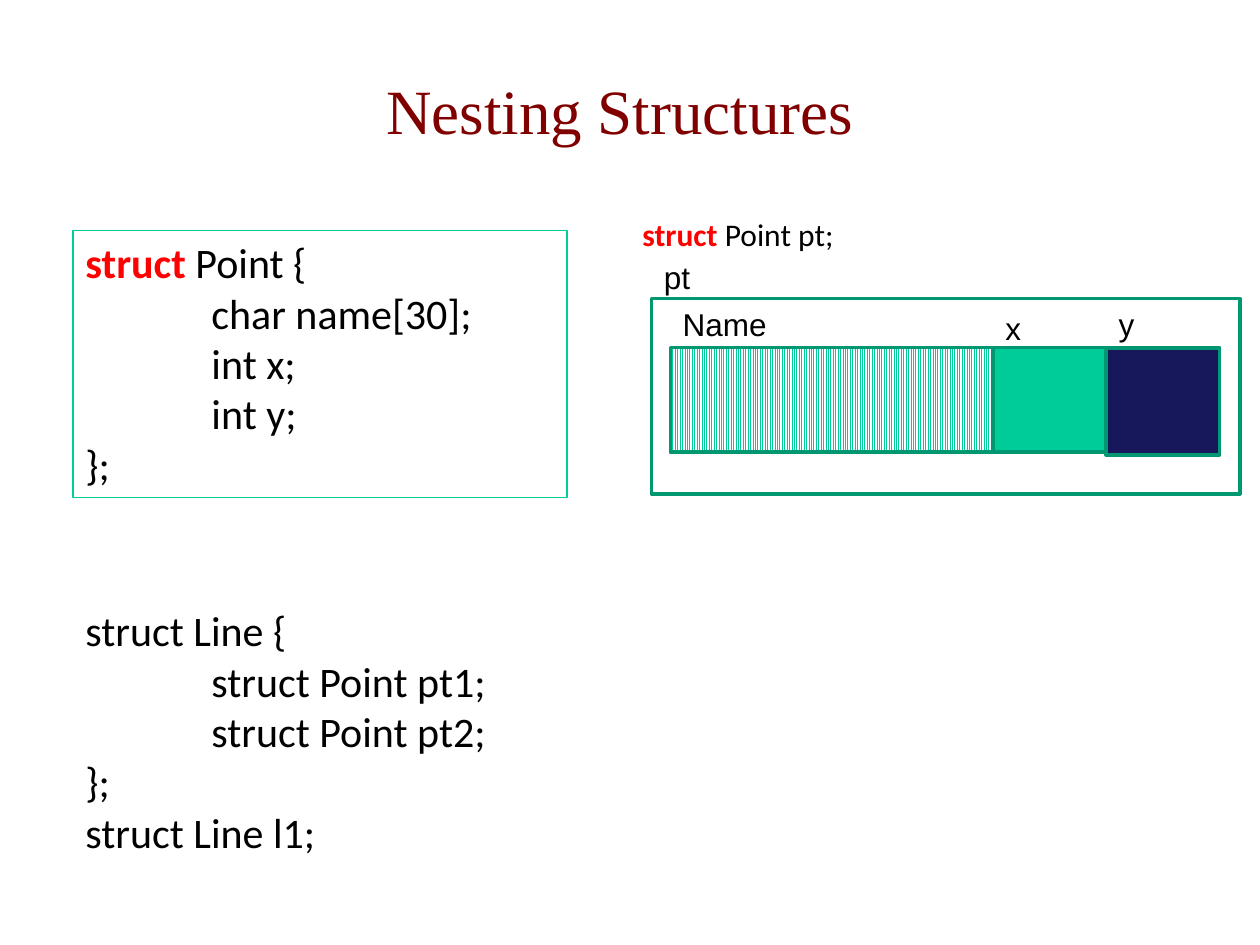
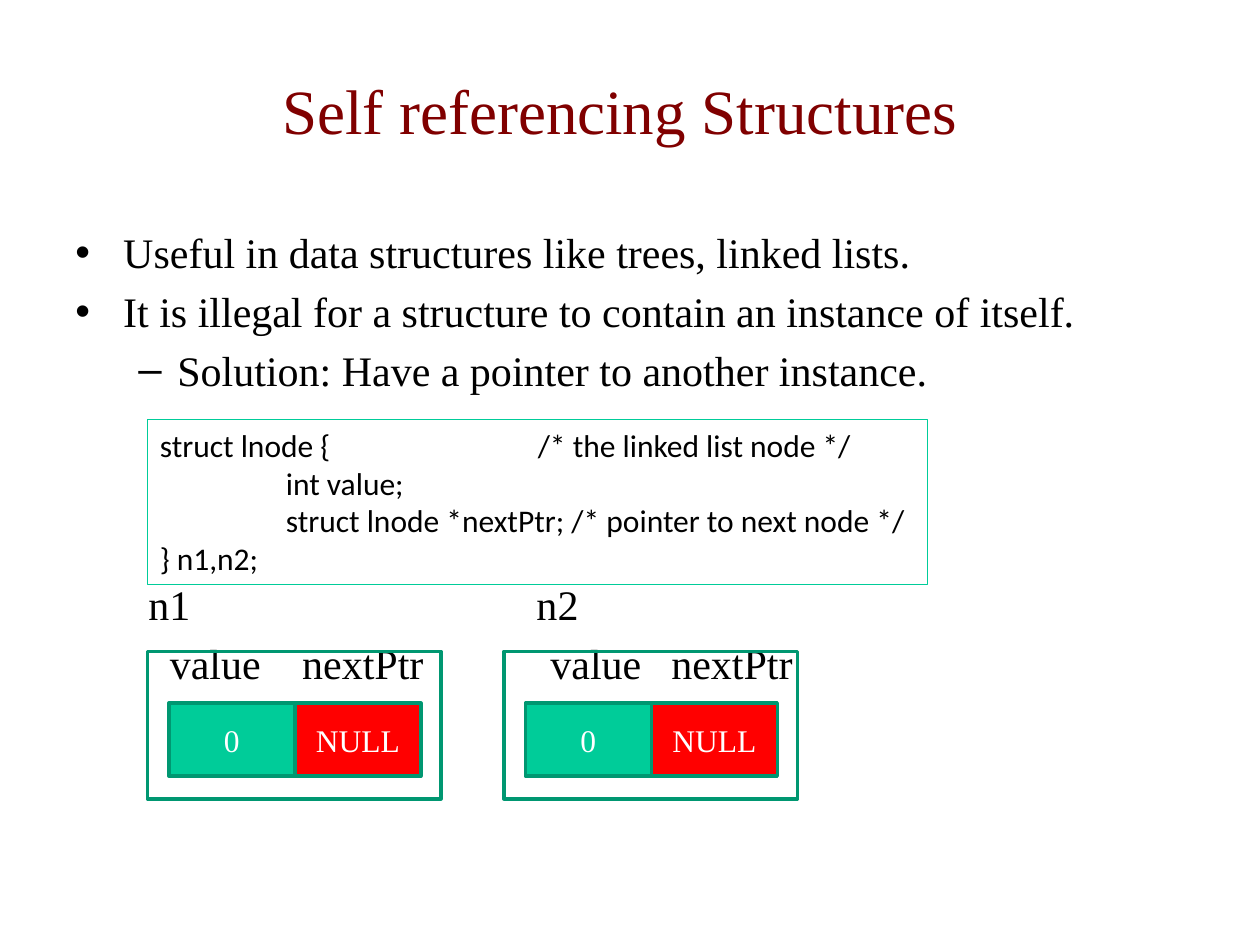
from lxml import etree
from pptx import Presentation
from pptx.dml import color
from pptx.enum import dml, shapes, text
from pptx.oxml import ns
from pptx.util import Inches, Pt

GREEN, DARK_GREEN, NAVY = "00CC99", "009771", "17175C"
RED, MAROON, BLACK, WHITE = "FF0000", "800000", "000000", "FFFFFF"
SERIF, SANS, CODE = "Times New Roman", "Arial", "Calibri"
CELL_TOP = 5.58
FIELD_TOP, FIELD_HEIGHT = 2.76, 0.83
LINE_GAP = 4.8
CODE_STOPS = (1, 2, 3)


def rgb(value):
    return color.RGBColor.from_string(value)


def apply(target, values):
    for name, value in values.items():
        setattr(target, name, value)


def add_run(paragraph, words, font, size, ink=BLACK, bold=False):
    run = paragraph.add_run()
    run.text = words
    apply(run.font, {"name": font, "size": Pt(size), "bold": bold})
    run.font.color.rgb = rgb(ink)


def add_tab_stops(paragraph, stops):
    tabs = etree.SubElement(paragraph._p.get_or_add_pPr(), ns.qn("a:tabLst"))
    for stop in stops:
        etree.SubElement(tabs, ns.qn("a:tab"), pos=str(Inches(stop)), algn="l")


def box(at):
    return [Inches(length) for length in at]


def add_titled_slide(deck, words):
    slide = deck.slides.add_slide(deck.slide_layouts[5])
    title = slide.shapes.title
    apply(title, dict(zip(("left", "top", "width", "height"),
                          box((0.67, 0.33, 8.5, 1.08)))))
    title.text_frame.vertical_anchor = text.MSO_ANCHOR.MIDDLE
    heading = title.text_frame.paragraphs[0]
    heading.alignment = text.PP_ALIGN.CENTER
    add_run(heading, words, SERIF, 36, MAROON)
    return slide


def add_text(slide, at, lines, font, size, wrap=True, keyword=None, border=None):
    holder = slide.shapes.add_textbox(*box(at))
    frame = holder.text_frame
    apply(frame, {"word_wrap": wrap,
                  "auto_size": text.MSO_AUTO_SIZE.SHAPE_TO_FIT_TEXT})
    if border:
        holder.line.color.rgb = rgb(border)
        holder.line.width = Pt(0.75)
    for index, line in enumerate(lines):
        paragraph = frame.add_paragraph() if index else frame.paragraphs[0]
        if "\t" in line:
            add_tab_stops(paragraph, CODE_STOPS)
        if keyword and line.startswith(keyword):
            add_run(paragraph, keyword, font, size, RED, True)
            line = line[len(keyword):]
        add_run(paragraph, line, font, size)


def add_block(parent, at, fill=None, words=None):
    block = parent.shapes.add_shape(shapes.MSO_SHAPE.RECTANGLE, *box(at))
    block.shadow.inherit = False
    block.line.color.rgb = rgb(DARK_GREEN)
    block.line.width = Pt(2)
    if fill:
        block.fill.solid()
        block.fill.fore_color.rgb = rgb(fill)
    else:
        block.fill.background()
    if words:
        block.text_frame.vertical_anchor = text.MSO_ANCHOR.MIDDLE
        value = block.text_frame.paragraphs[0]
        value.alignment = text.PP_ALIGN.CENTER
        add_run(value, words, SERIF, 18, WHITE)
    return block


def add_bullet(paragraph, words, mark, left, hanging):
    add_run(paragraph, words, SERIF, 24)
    paragraph.space_before = Pt(LINE_GAP)
    properties = paragraph._p.get_or_add_pPr()
    properties.set("marL", str(Inches(left)))
    properties.set("indent", str(-Inches(hanging)))
    etree.SubElement(properties, ns.qn("a:buFont"), typeface=SANS)
    etree.SubElement(properties, ns.qn("a:buChar"), char=mark)


def add_label_row(paragraph, labels, stops, gap):
    add_run(paragraph, "".join("\t" + label for label in labels), SERIF, 24)
    paragraph.space_before = Pt(gap)
    add_tab_stops(paragraph, stops)


def add_node(slide, left):
    node = slide.shapes.add_group_shape()
    for index, (fill, value) in enumerate(((GREEN, "0"), (RED, "NULL"))):
        add_block(node, (left + 0.17 + index, CELL_TOP, 1, 0.58), fill, value)
    add_block(node, (left, 5.17, 2.33, 1.17))


def build_nesting(deck):
    slide = add_titled_slide(deck, "Nesting Structures")
    add_text(slide, (0.58, 1.83, 3.92, 2.12),
             ["struct Point {", "\tchar name[30];", "\tint x;", "\tint y;", "};"],
             CODE, 24, keyword="struct", border=GREEN)
    name = add_block(slide, (5.32, FIELD_TOP, 2.56, FIELD_HEIGHT))
    name.fill.patterned()
    name.fill.pattern = dml.MSO_PATTERN.LIGHT_VERTICAL
    name.fill.fore_color.rgb = rgb(GREEN)
    name.fill.back_color.rgb = rgb(WHITE)
    add_block(slide, (7.88, FIELD_TOP, 0.9, FIELD_HEIGHT), GREEN)
    add_block(slide, (8.78, FIELD_TOP, 0.9, FIELD_HEIGHT + 0.02), NAVY)
    add_block(slide, (5.17, 2.37, 4.67, 1.55))
    for label, left, top, width in (("Name", 5.32, 2.37, 0.98), ("x", 7.88, 2.4, 0.45),
                                    ("y", 8.78, 2.37, 0.45), ("pt", 5.17, 2, 0.75)):
        add_text(slide, (left, top, width, 0.4), [label], SANS, 18)
    add_text(slide, (5, 1.66, 1.74, 0.4), ["struct Point pt;"], CODE, 18,
             wrap=False, keyword="struct")
    add_text(slide, (0.58, 4.75, 3.92, 2.12),
             ["struct Line {", "\tstruct Point pt1;", "\tstruct Point pt2;",
              "};", "struct Line l1;"], CODE, 24)


def build_self_referencing(deck):
    slide = add_titled_slide(deck, "Self referencing Structures")
    body = slide.shapes.add_textbox(*box((0.5, 1.75, 9, 5.67))).text_frame
    body.word_wrap = True
    add_bullet(body.paragraphs[0], "Useful in data structures like trees, linked lists.",
               "•", 0.38, 0.38)
    add_bullet(body.add_paragraph(),
               "It is illegal for a structure to contain an instance of itself.",
               "•", 0.38, 0.38)
    solution = body.add_paragraph()
    solution.level = 1
    add_bullet(solution, "Solution: Have a pointer to another instance.", "–", 0.81, 0.31)
    add_label_row(body.add_paragraph(), ["n1", "n2"], [0.58, 3.66], 105.3)
    add_label_row(body.add_paragraph(), ["value", "nextPtr"] * 2,
                  [0.75, 1.8, 3.77, 4.73], LINE_GAP)
    add_text(slide, (1.17, 3.33, 6.19, 1.31),
             ["struct lnode { \t\t/* the linked list node */", "\tint value;",
              "\tstruct lnode *nextPtr; /* pointer to next node */", "} n1,n2;"],
             CODE, 18, wrap=False, border=GREEN)
    for left in (1.17, 4):
        add_node(slide, left)


def main():
    deck = Presentation()
    apply(deck, {"slide_width": Inches(10), "slide_height": Inches(7.5)})
    build_nesting(deck)
    build_self_referencing(deck)
    deck.save("out.pptx")


main()
